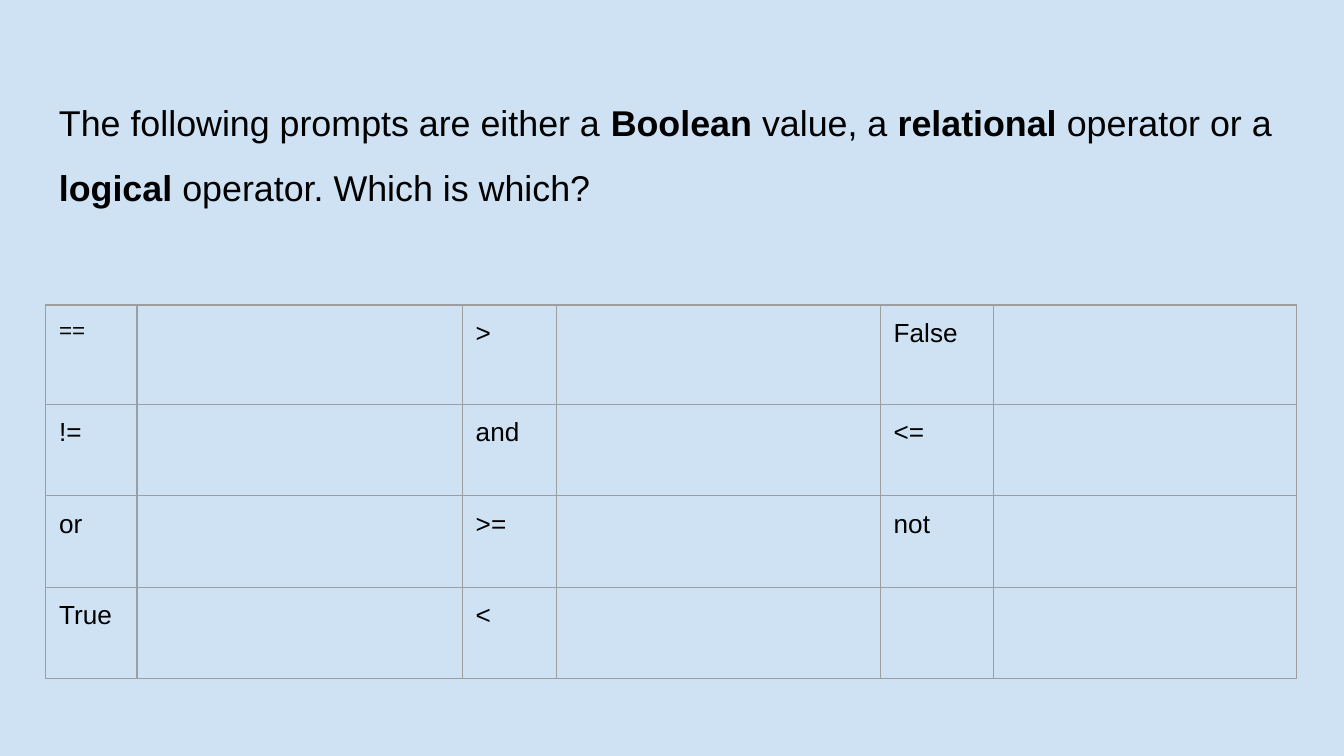
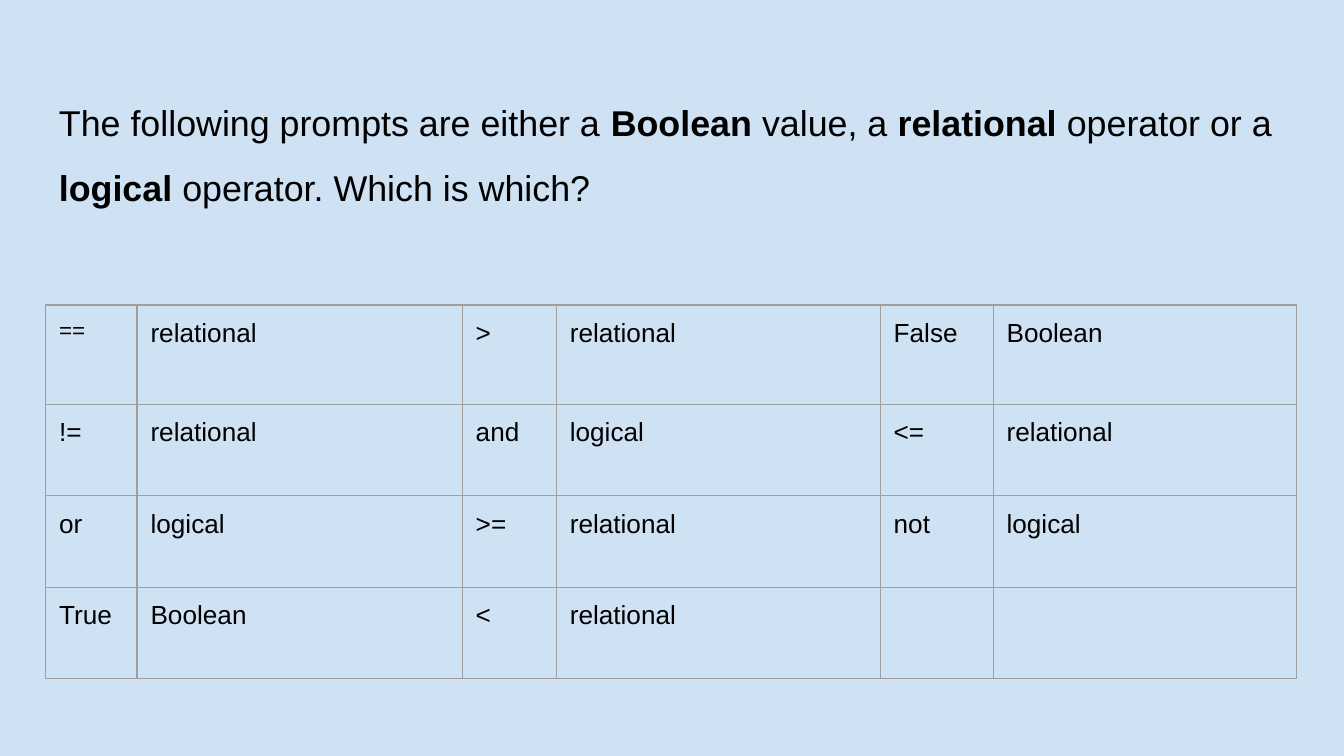
from lxml import etree
from pptx import Presentation, util as u
from pptx.dml.color import RGBColor
from pptx.enum import text
from pptx.oxml import ns

SCALE = 4572  # EMU per px, 200 px to the inch
COLORS = {"background": "CFE2F3", "ink": "000000", "border": "9E9E9E"}
FONT = "Arial"
PADDING = 20
BORDER_WIDTH = 0.75

QUESTION = ("The following prompts are either a *Boolean* value, a *relational* "
            "operator or a *logical* operator. Which is which?")
PROMPTS = [
    ["==", ">", "False"],
    ["!=", "and", "<="],
    ["or", ">=", "not"],
    ["True", "<", ""],
]
KINDS = {
    "Boolean": ["True", "False"],
    "logical": ["and", "or", "not"],
    "relational": ["==", "!=", ">", ">=", "<", "<="],
}
ANSWERS = {prompt: kind for kind, prompts in KINDS.items() for prompt in prompts}
COLUMN_WIDTHS = [136, 484, 140, 482, 168, 452]
ROW_HEIGHTS = [148, 136, 136, 136]


def px(length):
    return u.Emu(length * SCALE)


def set_all(target, values):
    for name, value in values.items():
        setattr(target, name, value)


class Deck:
    def __init__(self):
        self.prs = Presentation()
        set_all(self.prs, {"slide_width": px(2000), "slide_height": px(1125)})
        self.padding = {f"margin_{side}": px(PADDING)
                        for side in ("left", "top", "right", "bottom")}

    def add_slide(self):
        self.slide = self.prs.slides.add_slide(self.prs.slide_layouts[6])
        fill = self.slide.background.fill
        fill.solid()
        fill.fore_color.rgb = RGBColor.from_string(COLORS["background"])

    def add_words(self, paragraph, words, size, bold=False):
        run = paragraph.add_run()
        run.text = words
        set_all(run.font, {"name": FONT, "size": u.Pt(size), "bold": bold})
        run.font.color.rgb = RGBColor.from_string(COLORS["ink"])

    def question(self, marked_text):
        """Add the heading; words between asterisks are bold."""
        box = self.slide.shapes.add_textbox(px(68), px(98), px(1864), px(298))
        frame = box.text_frame
        set_all(frame, {"word_wrap": True,
                        "vertical_anchor": text.MSO_ANCHOR.TOP, **self.padding})
        paragraph = frame.paragraphs[0]
        paragraph.line_spacing = 1.5
        for index, words in enumerate(marked_text.split("*")):
            self.add_words(paragraph, words, 19.2, bold=index % 2 == 1)

    def border(self, cell):
        properties = cell._tc.get_or_add_tcPr()
        for side in "LRTB":
            line = etree.SubElement(properties, ns.qn(f"a:ln{side}"),
                                    w=str(u.Pt(BORDER_WIDTH)))
            fill = etree.SubElement(line, ns.qn("a:solidFill"))
            etree.SubElement(fill, ns.qn("a:srgbClr"), val=COLORS["border"])

    def prompt_table(self, rows):
        table = self.slide.shapes.add_table(
            len(ROW_HEIGHTS), len(COLUMN_WIDTHS), px(68), px(454),
            px(sum(COLUMN_WIDTHS)), px(sum(ROW_HEIGHTS))).table
        set_all(table, {"first_row": False, "horz_banding": False})
        for column, width in zip(table.columns, COLUMN_WIDTHS):
            column.width = px(width)
        for row, height, entries in zip(table.rows, ROW_HEIGHTS, rows):
            row.height = px(height)
            for cell, entry in zip(row.cells, entries):
                set_all(cell, self.padding)
                self.border(cell)
                cell.fill.background()
                if entry:
                    self.add_words(cell.text_frame.paragraphs[0], entry,
                                   12 if entry == "==" else 14)


def table_rows(show_answers):
    """Follow each prompt with its answer, or with an empty cell."""
    answers = ANSWERS if show_answers else {}
    return [[entry for prompt in prompts
             for entry in (prompt, answers.get(prompt, ""))]
            for prompts in PROMPTS]


def main():
    deck = Deck()
    for show_answers in (False, True):
        deck.add_slide()
        deck.question(QUESTION)
        deck.prompt_table(table_rows(show_answers))
    deck.prs.save("out.pptx")


if __name__ == "__main__":
    main()
